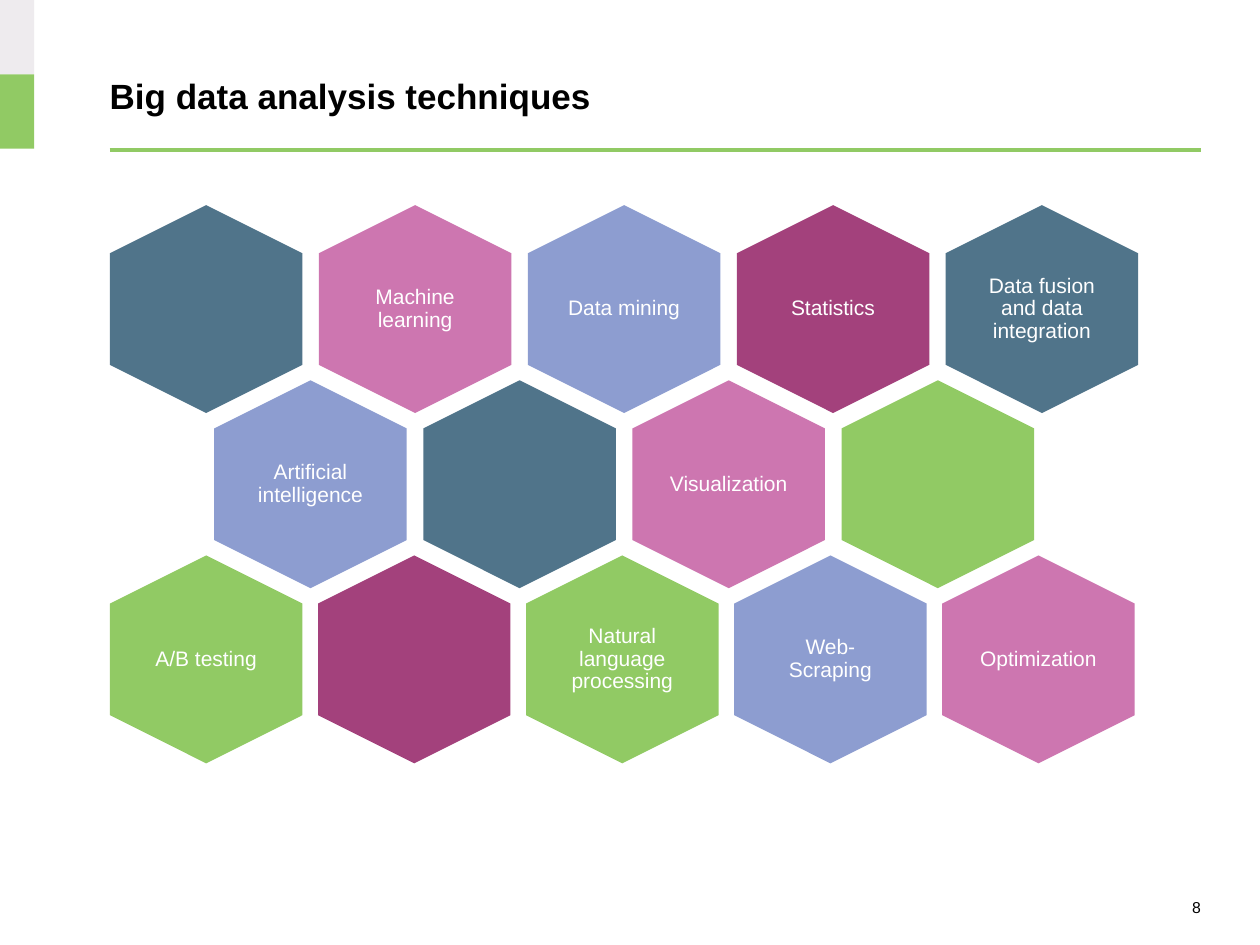
import pptx
import pptx.util
import pptx.dml.color
import pptx.enum.shapes
import pptx.enum.text
import pptx.oxml.ns
import lxml.etree

Pt = pptx.util.Pt
SHAPES = pptx.enum.shapes.MSO_SHAPE
ALIGN = pptx.enum.text.PP_ALIGN

GREEN, TEAL, PINK = "91CA64", "50748A", "CD76B0"
BLUE, PLUM, GREY = "8D9DD0", "A3417C", "EEEBEE"

HEXAGON_LENGTH, HEXAGON_BREADTH = 118.8, 110
LABEL_WIDTH, LABEL_HEIGHT = 75.6, 82
FIRST_TOP, ROW_STEP = 121.6, 100.1

ROWS = [
    (58.4, 119.4, [
        ("", TEAL), ("Machine learning", PINK), ("Data mining", BLUE),
        ("Statistics", PLUM), ("Data fusion and data integration", TEAL),
    ]),
    (118, 119.5, [
        ("Artificial intelligence", BLUE), ("", TEAL),
        ("Visualization", PINK), ("", GREEN),
    ]),
    (58.4, 118.9, [
        ("A/B testing", GREEN), ("", PLUM),
        ("Natural language processing", GREEN),
        ("Web-Scraping", BLUE), ("Optimization", PINK),
    ]),
]


def color(value):
    return pptx.dml.color.RGBColor.from_string(value)


def set_attributes(target, values):
    for name, value in values.items():
        setattr(target, name, value)


def add_filled_shape(slide, kind, left, top, width, height, fill):
    shape = slide.shapes.add_shape(kind, Pt(left), Pt(top), Pt(width), Pt(height))
    shape.shadow.inherit = False
    shape.fill.solid()
    shape.fill.fore_color.rgb = color(fill)
    shape.line.fill.background()
    return shape


def add_text(slide, left, top, width, height, text, size, fill,
             bold=False, inset=0, **paragraph_format):
    box = slide.shapes.add_textbox(Pt(left), Pt(top), Pt(width), Pt(height))
    frame = box.text_frame
    set_attributes(frame, {
        "word_wrap": True,
        "vertical_anchor": pptx.enum.text.MSO_ANCHOR.MIDDLE,
        "margin_left": Pt(inset), "margin_right": Pt(inset),
        "margin_top": Pt(inset), "margin_bottom": Pt(inset),
    })
    paragraph = frame.paragraphs[0]
    paragraph.text = text
    set_attributes(paragraph, paragraph_format)
    set_attributes(paragraph.font, {"name": "Arial", "size": Pt(size), "bold": bold})
    paragraph.font.color.rgb = color(fill)


def add_rule(slide, left, right, top, fill, width):
    line = slide.shapes.add_connector(
        pptx.enum.shapes.MSO_CONNECTOR.STRAIGHT,
        Pt(left), Pt(top), Pt(right), Pt(top))
    line.line.color.rgb = color(fill)
    line.line.width = Pt(width)
    lxml.etree.SubElement(line._element.spPr, pptx.oxml.ns.qn("a:effectLst"))


def add_hexagon(slide, left, top, label, fill):
    hexagon = add_filled_shape(slide, SHAPES.HEXAGON, left, top,
                               HEXAGON_LENGTH, HEXAGON_BREADTH, fill)
    hexagon.adjustments[0] = 0.25
    hexagon.rotation = 90
    if label:
        add_text(slide, left + (HEXAGON_LENGTH - LABEL_WIDTH) / 2,
                 top + (HEXAGON_BREADTH - LABEL_HEIGHT) / 2,
                 LABEL_WIDTH, LABEL_HEIGHT, label, 12, "FFFFFF",
                 inset=2, alignment=ALIGN.CENTER, line_spacing=0.9)


def main():
    presentation = pptx.Presentation()
    presentation.slide_width = Pt(720)
    presentation.slide_height = Pt(540)
    slide = presentation.slides.add_slide(presentation.slide_layouts[6])

    for index, fill in enumerate([GREY, GREEN]):
        add_filled_shape(slide, SHAPES.RECTANGLE, 0, index * 42.5, 19.6, 42.5, fill)
    add_rule(slide, 62.7, 686.2, 85.7, GREEN, 2.25)
    add_text(slide, 62.7, 42.5, 623.5, 24.5, "Big data analysis techniques",
             20, "000000", bold=True)

    for row, (left, step, cells) in enumerate(ROWS):
        for column, (label, fill) in enumerate(cells):
            add_hexagon(slide, left + column * step, FIRST_TOP + row * ROW_STEP,
                        label, fill)

    add_text(slide, 586.8, 511.2, 99.4, 14.4, "8", 9, "000000",
             alignment=ALIGN.RIGHT)
    presentation.save("out.pptx")


if __name__ == "__main__":
    main()
